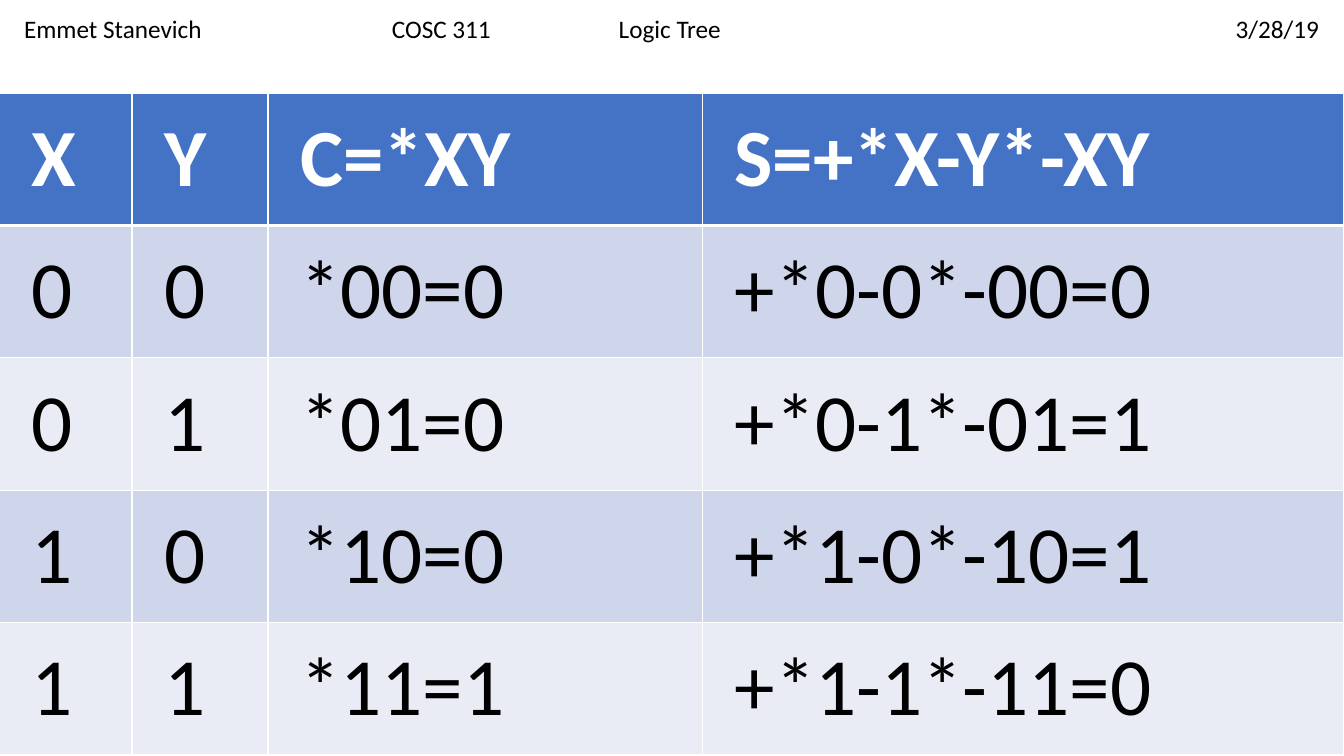
from lxml.etree import SubElement
from pptx import Presentation
from pptx.dml.color import RGBColor
from pptx.enum.text import MSO_AUTO_SIZE as AutoSize
from pptx.oxml.ns import qn
from pptx.util import Pt

COLORS = {
    "ink": "000000",
    "white": "FFFFFF",
    "header": "4472C4",
    "band_dark": "CFD5EA",
    "band_light": "E9EBF5",
}
HEADINGS = [
    ("Emmet Stanevich", 10.1, 142.6),
    ("COSC 311", 272.9, 85.7),
    ("Logic Tree", 434.9, 88.6),
    ("3/28/19", 875.5, 74.9),
]
TRUTH_TABLE = [
    ["X", "Y", "C=*XY", "S=+*X-Y*-XY"],
    ["0", "0", "*00=0", "+*0-0*-00=0"],
    ["0", "1", "*01=0", "+*0-1*-01=1"],
    ["1", "0", "*10=0", "+*1-0*-10=1"],
    ["1", "1", "*11=1", "+*1-1*-11=0"],
]
COLUMN_WIDTHS = [95, 97.2, 310.3, 457.9]
ROW_HEIGHT = 94.6


class SlideBuilder:
    """Hold the text style and the current slide."""

    def __init__(self, page, font="Calibri"):
        """Keep the page and its font."""
        self.page = page
        self.font = font

    def add_span(self, para, text, size, color, bold=False):
        """Add one styled run to a paragraph."""
        span = para.add_run()
        span.text = text
        span.font.name = self.font
        span.font.size = Pt(size)
        span.font.bold = bold
        span.font.color.rgb = RGBColor.from_string(COLORS[color])

    def add_label(self, text, left, top, width, height, size=18):
        """Add a text box on a single line."""
        box = self.page.shapes.add_textbox(Pt(left), Pt(top), Pt(width), Pt(height))
        box.text_frame.word_wrap = False
        box.text_frame.auto_size = AutoSize.SHAPE_TO_FIT_TEXT
        self.add_span(box.text_frame.paragraphs[0], text, size, "ink")

    def add_borders(self, cell, widths):
        """Draw white cell borders with a width for each side."""
        properties = cell._tc.get_or_add_tcPr()
        for side, width in widths.items():
            line = SubElement(properties, qn(f"a:ln{side}"), w=str(Pt(width)))
            fill = SubElement(line, qn("a:solidFill"))
            SubElement(fill, qn("a:srgbClr"), val=COLORS["white"])

    def format_cell(self, cell, text, row, size=58):
        """Fill one cell with its text, borders and band colour."""
        cell.margin_left = cell.margin_right = Pt(23)
        cell.margin_top = cell.margin_bottom = Pt(11.5)
        is_header = row == 0
        self.add_borders(cell, {
            "L": 1,
            "R": 1,
            "T": 3 if row == 1 else 1,
            "B": 3 if is_header else 1,
        })
        band = "band_dark" if row % 2 else "band_light"
        cell.fill.solid()
        cell.fill.fore_color.rgb = RGBColor.from_string(
            COLORS["header" if is_header else band])
        self.add_span(cell.text_frame.paragraphs[0], text, size,
                      "white" if is_header else "ink", is_header)

    def add_table(self, rows, widths, row_height, left, top):
        """Add a banded table with a header row."""
        table = self.page.shapes.add_table(
            len(rows), len(widths), Pt(left), Pt(top),
            Pt(sum(widths)), Pt(row_height * len(rows))).table
        for column, width in zip(table.columns, widths):
            column.width = Pt(width)
        for row, texts in enumerate(rows):
            table.rows[row].height = Pt(row_height)
            for column, text in enumerate(texts):
                self.format_cell(table.cell(row, column), text, row)


def main():
    """Build the logic tree slide and save it."""
    deck = Presentation()
    deck.slide_width, deck.slide_height = Pt(960), Pt(540)
    builder = SlideBuilder(deck.slides.add_slide(deck.slide_layouts[6]))
    for text, left, width in HEADINGS:
        builder.add_label(text, left, 5.8, width, 29.1)
    builder.add_table(TRUTH_TABLE, COLUMN_WIDTHS, ROW_HEIGHT, -0.7, 66.4)
    deck.save("out.pptx")


if __name__ == "__main__":
    main()
